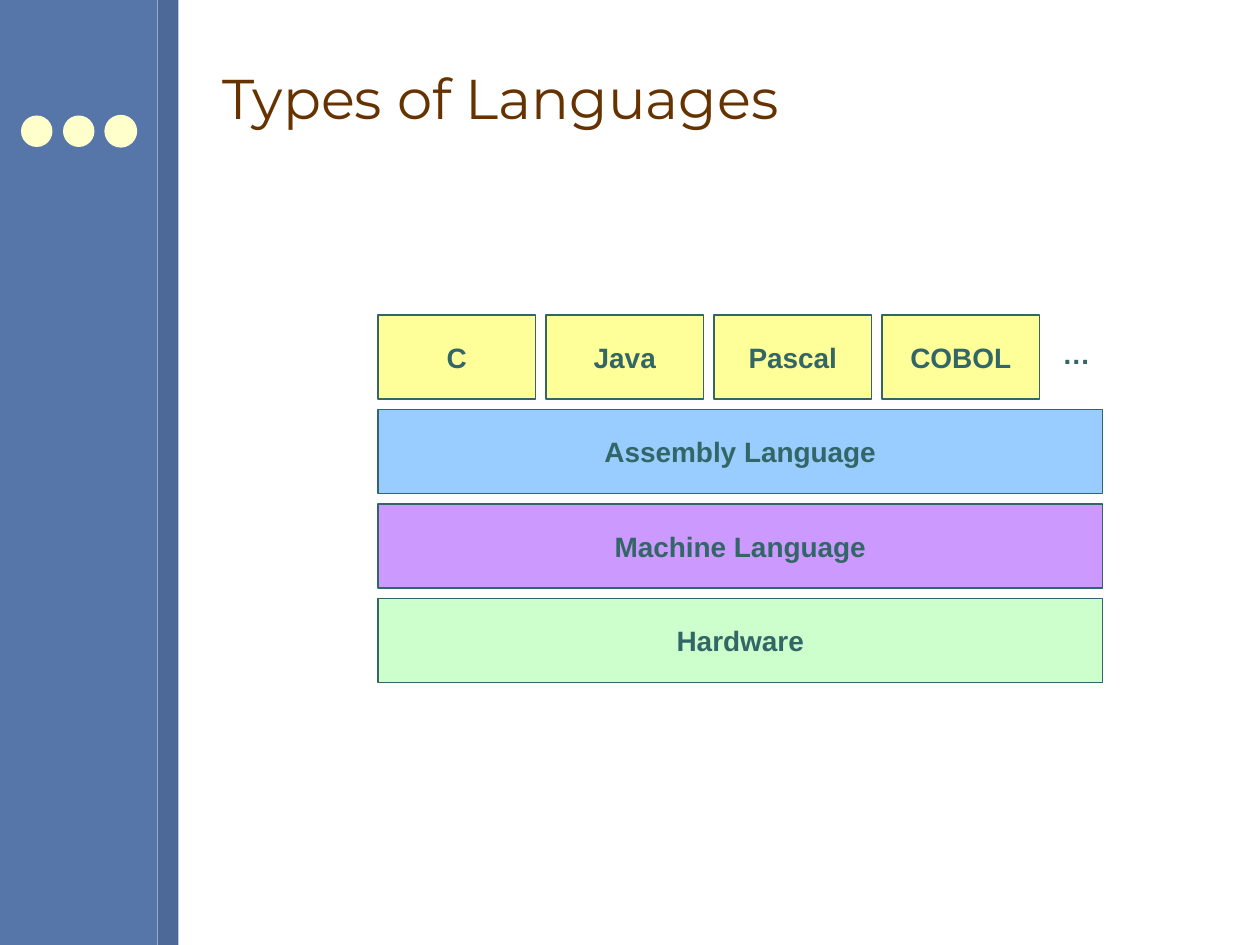
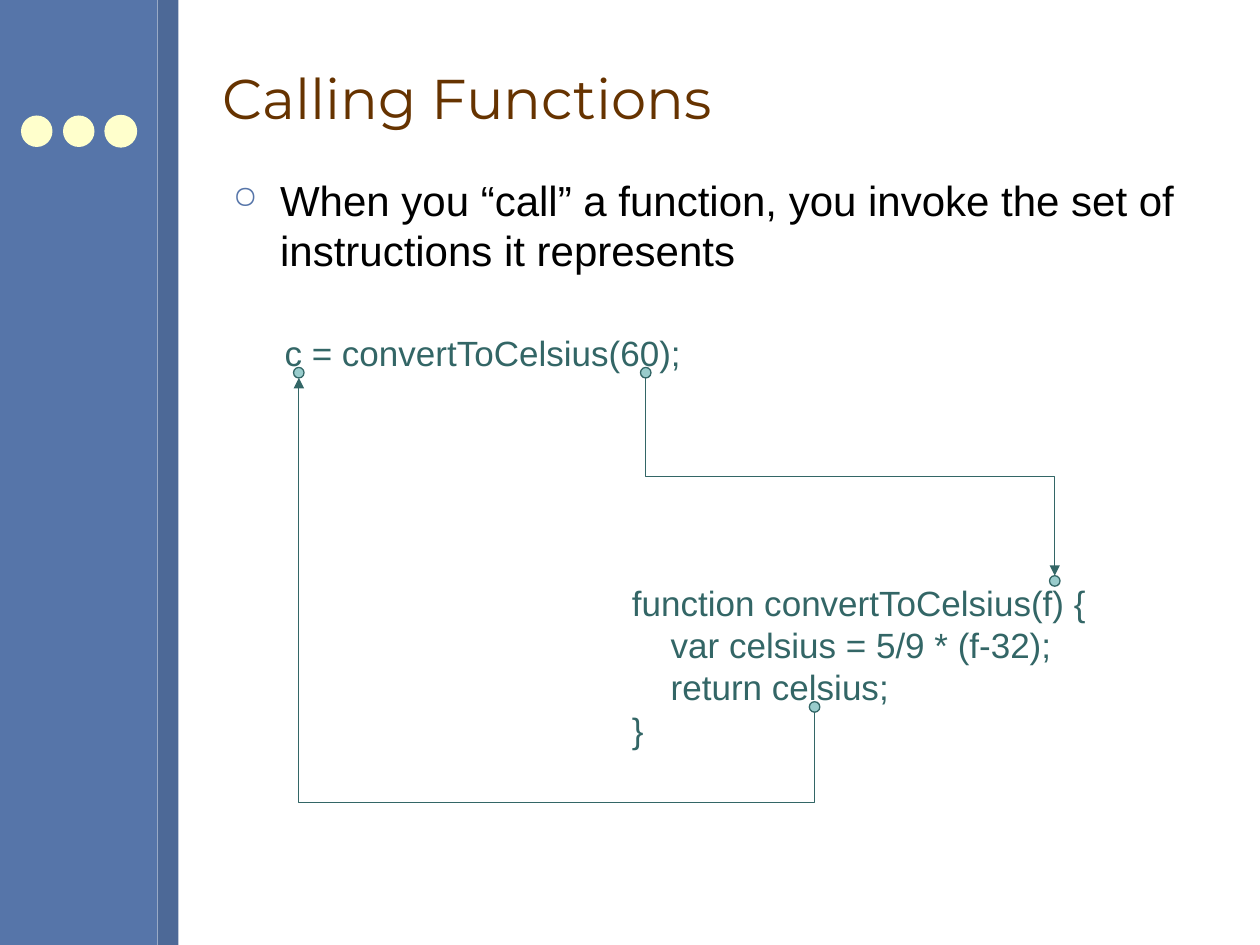
import pptx
import pptx.dml.color
import pptx.enum.shapes
import pptx.enum.text
import pptx.oxml
import pptx.oxml.ns
import pptx.util
from lxml import etree

Pt = pptx.util.Pt
SHAPES = pptx.enum.shapes.MSO_SHAPE
ALIGN = pptx.enum.text.PP_ALIGN
ANCHOR = pptx.enum.text.MSO_ANCHOR
HAIRLINE = 0.75
SIDEBAR, SIDEBAR_EDGE, CREAM = "5675A9", "4D6997", "FFFFCC"
BROWN, TEAL, PALE_TEAL, BLACK = "663300", "336666", "99CCCC", "000000"
HIGH_LEVEL = ["C", "Java", "Pascal", "COBOL"]
HIGH_LEVEL_FILL = "FFFF99"
LAYERS = [("Assembly Language", "99CCFF"), ("Machine Language", "CC99FF"),
          ("Hardware", "CCFFCC")]
CODE = [("function convertToCelsius(f) {", 0), ("var celsius = 5/9 * (f-32);", 22.2),
        ("return celsius;", 22.2), ("}", 0)]


def rgb(hex_code):
    """Turn a hex string into a colour."""
    return pptx.dml.color.RGBColor.from_string(hex_code)


def add_xml(parent, tag, **attributes):
    """Append a drawing element with the given attributes."""
    child = etree.SubElement(parent, pptx.oxml.ns.qn(tag))
    for key, value in attributes.items():
        child.set(key, str(value))
    return child


def write(frame, lines, size=16, color=TEAL, font="Arial", bold=False,
          align=ALIGN.LEFT, anchor=ANCHOR.TOP, wrap=False):
    """Fill a text frame with (text, left margin in points) lines."""
    frame.word_wrap = wrap
    frame.auto_size = pptx.enum.text.MSO_AUTO_SIZE.NONE
    frame.vertical_anchor = anchor
    for index, (text, margin) in enumerate(lines):
        paragraph = frame.add_paragraph() if index else frame.paragraphs[0]
        paragraph.alignment = align
        if margin:
            paragraph._p.get_or_add_pPr().set("marL", str(Pt(margin)))
        run = paragraph.add_run()
        run.text = text
        run.font.name, run.font.size, run.font.bold = font, Pt(size), bold
        run.font.color.rgb = rgb(color)


def add_text(slide, box, lines, **style):
    """Place a text box and return its frame."""
    frame = slide.shapes.add_textbox(*map(Pt, box)).text_frame
    write(frame, lines, **style)
    return frame


def add_figure(slide, kind, box, fill, outline=None):
    """Place a flat preset shape."""
    figure = slide.shapes.add_shape(kind, *map(Pt, box))
    figure.shadow.inherit = False
    figure.fill.solid()
    figure.fill.fore_color.rgb = rgb(fill)
    if outline:
        figure.line.color.rgb = rgb(outline)
        figure.line.width = Pt(HAIRLINE)
    else:
        figure.line.fill.background()
    return figure


def add_sidebar(slide, box):
    """Draw the left band, its darker edge and three dots."""
    left, top, width, height = box
    edge = 12
    band = width - edge
    add_figure(slide, SHAPES.RECTANGLE, (left, top, band, height), SIDEBAR)
    add_figure(slide, SHAPES.RECTANGLE, (left + band, top, edge, height), SIDEBAR_EDGE)
    for index, outline in enumerate([None, None, CREAM]):
        dot = (left + 12 + 24 * index, top + 66, 18, 18)
        add_figure(slide, SHAPES.OVAL, dot, CREAM, outline)


def add_titled_slide(deck, title):
    """Add a slide with the sidebar and the formatted title."""
    slide = deck.slides.add_slide(deck.slide_layouts[5])
    add_sidebar(slide, (0, 0, 102, 540))
    heading = slide.shapes.title
    heading.left, heading.top, heading.width, heading.height = map(Pt, (120, 15, 576, 81))
    write(heading.text_frame, [(title, 0)], size=32, color=BROWN, font="Montserrat",
          anchor=ANCHOR.MIDDLE, wrap=True)
    return slide


def add_block(slide, box, label, fill):
    """Draw one labelled block of the language stack."""
    block = add_figure(slide, SHAPES.RECTANGLE, box, fill, TEAL)
    write(block.text_frame, [(label, 0)], bold=True, align=ALIGN.CENTER,
          anchor=ANCHOR.MIDDLE)


def add_language_stack(slide, box, gap=6):
    """Stack the high-level languages on the layers below them."""
    left, top, width, height = box
    rows = len(LAYERS) + 1
    block_height = (height - gap * (rows - 1)) / rows
    block_width = 90
    for column, language in enumerate(HIGH_LEVEL):
        x = left + column * (block_width + gap)
        add_block(slide, (x, top, block_width, block_height), language, HIGH_LEVEL_FILL)
    more_left = left + len(HIGH_LEVEL) * (block_width + gap)
    add_text(slide, (more_left, top + 9, left + width - more_left, 27),
             [("…", 0)], bold=True)
    for row, (layer, fill) in enumerate(LAYERS, 1):
        y = top + row * (block_height + gap)
        add_block(slide, (left, y, width, block_height), layer, fill)


def add_bullet(slide, box, text):
    """Place the bulleted statement."""
    frame = add_text(slide, box, [(text, 27)], size=24, color=BLACK, wrap=True)
    paragraph = frame.paragraphs[0]
    paragraph.space_before = paragraph.space_after = Pt(7.5)
    properties = paragraph._p.get_or_add_pPr()
    properties.set("indent", str(-Pt(27)))
    add_xml(add_xml(properties, "a:buClr"), "a:srgbClr", val=SIDEBAR)
    add_xml(properties, "a:buSzPct", val=75000)
    add_xml(properties, "a:buChar", char="○")


def add_flow_arrow(slide, start, end, bend):
    """Draw an elbow arrow that leaves and arrives vertically."""
    middle_x, middle_y = (start[0] + end[0]) / 2, (start[1] + end[1]) / 2
    turned = [Pt(length) for x, y in (start, end)
              for length in (middle_x + middle_y - y, middle_y + x - middle_x)]
    arrow = slide.shapes.add_connector(pptx.enum.shapes.MSO_CONNECTOR.ELBOW, *turned)
    arrow.line.color.rgb = rgb(TEAL)
    arrow.line.width = Pt(HAIRLINE)
    properties = arrow._element.spPr
    properties.xfrm.set("rot", "16200000")
    guides = properties.find(".//" + pptx.oxml.ns.qn("a:avLst"))
    add_xml(guides, "a:gd", name="adj1", fmla=f"val {round(bend * 100000)}")
    add_xml(arrow.line._get_or_add_ln(), "a:tailEnd", type="triangle")
    add_xml(properties, "a:effectLst")


def add_call_diagram(slide, box):
    """Show the call, the function and the values passed between them."""
    left, top, width, height = box
    radius = 3
    result = (left + 15.25, top + 27)
    argument = (left + 213.5, top + 27)
    parameter = (left + 447.25, top + 146)
    returned = (left + 310, top + 218)
    code_left, code_top = left + 198.5, top + 143
    add_text(slide, (left, top, 243, 31.5), [("c = convertToCelsius(60);", 0)], size=20)
    add_text(slide, (code_left, code_top, left + width - code_left, top + height - code_top),
             CODE, size=20)
    for x, y in (result, argument, parameter, returned):
        dot = (x - radius, y - radius, 2 * radius, 2 * radius)
        add_figure(slide, SHAPES.OVAL, dot, PALE_TEAL, TEAL)
    for source, target, down, bend in ((argument, parameter, 1, 0.5),
                                       (returned, result, -1, -0.27)):
        start = (source[0], source[1] + radius)
        end = (target[0], target[1] - down * radius)
        add_flow_arrow(slide, start, end, bend)


def build():
    """Build and save both slides."""
    deck = pptx.Presentation()
    deck.slide_width, deck.slide_height = Pt(720), Pt(540)
    languages = add_titled_slide(deck, "Types of Languages")
    add_language_stack(languages, (216, 180, 414, 210))
    calling = add_titled_slide(deck, "Calling Functions")
    add_bullet(calling, (126, 96, 570, 402),
               "When you “call” a function, you invoke the set of instructions it represents")
    add_call_diagram(calling, (155.5, 186, 474.5, 247))
    deck.save("out.pptx")


build()
